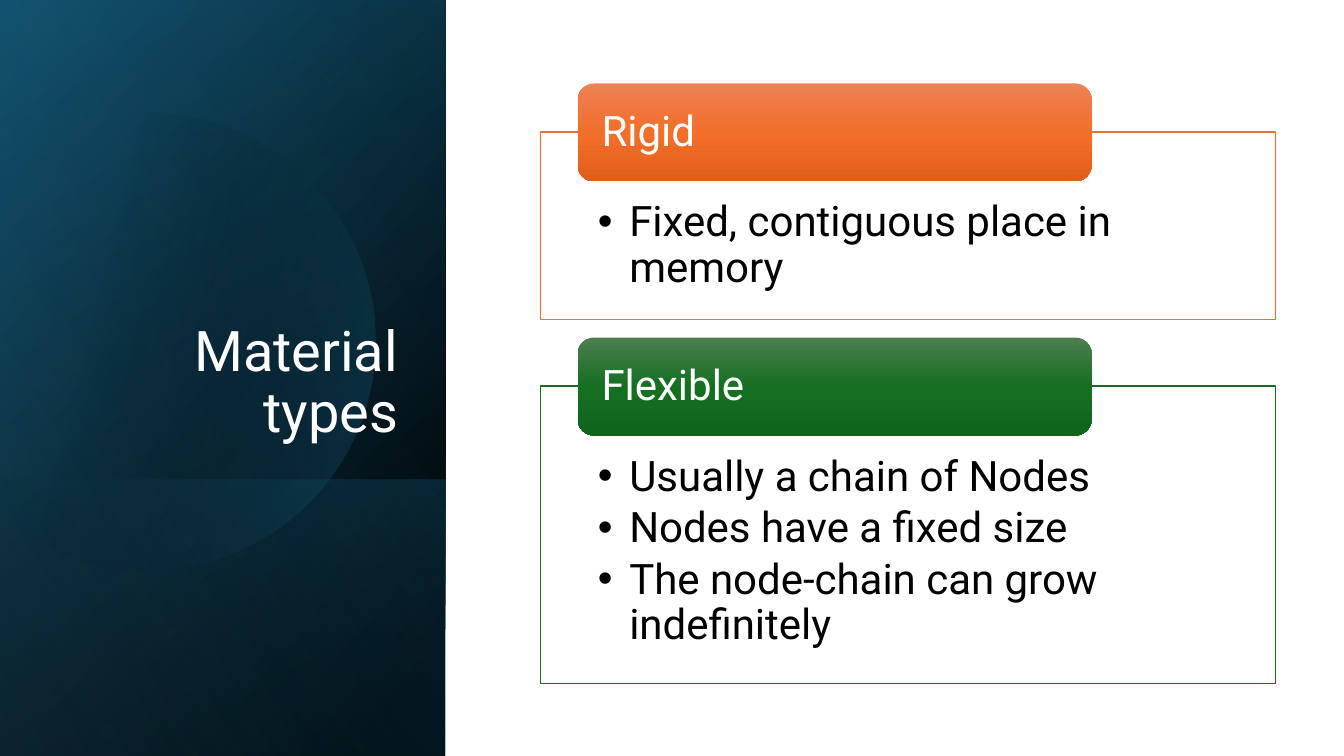
import math
from lxml import etree
from pptx import Presentation
from pptx.dml.color import RGBColor
from pptx.enum.shapes import MSO_SHAPE
from pptx.enum.text import MSO_ANCHOR, MSO_AUTO_SIZE, PP_ALIGN
from pptx.oxml.ns import qn
from pptx.util import Pt

RECT, ROUND = MSO_SHAPE.RECTANGLE, MSO_SHAPE.ROUNDED_RECTANGLE
TOP, MIDDLE, BOTTOM = MSO_ANCHOR.TOP, MSO_ANCHOR.MIDDLE, MSO_ANCHOR.BOTTOM
LEFT, RIGHT = PP_ALIGN.LEFT, PP_ALIGN.RIGHT
NO_FIT = MSO_AUTO_SIZE.NONE

WHITE = RGBColor(0xFF, 0xFF, 0xFF)
BLACK = RGBColor(0x00, 0x00, 0x00)
NAVY = RGBColor(0x10, 0x48, 0x62)
TEAL = RGBColor(0x15, 0x60, 0x82)
SKY = RGBColor(0x46, 0xB1, 0xE1)
ORANGE = RGBColor(0xE9, 0x71, 0x32)
GREEN = RGBColor(0x19, 0x6B, 0x24)
ORANGES = (RGBColor(0xED, 0x82, 0x57), RGBColor(0xF2, 0x6E, 0x29),
           RGBColor(0xE2, 0x5F, 0x1A))
GREENS = (RGBColor(0x4D, 0x7E, 0x50), RGBColor(0x15, 0x6F, 0x21),
          RGBColor(0x0F, 0x66, 0x1B))

# Content: heading, bullets, line colour, heading shades, box height
TITLE = "Material types"
CARDS = [
    ("Rigid", ["Fixed, contiguous place in memory"], ORANGE, ORANGES, 134),
    ("Flexible", ["Usually a chain of Nodes", "Nodes have a fixed size",
                  "The node-chain can grow indefinitely"],
     GREEN, GREENS, 212.4),
]

# Side panel layers: top, angle, stops of (position, colour, opacity)
WIDE, HIGH = 960, 540
PANEL = 318.24
LAYERS = [
    (0, 50, [(8, BLACK, 100), (100, NAVY, 100)]),
    (0, 30, [(0, BLACK, 0), (99, TEAL, 46)]),
    (342.7, 130, [(2, TEAL, 29), (100, BLACK, 30)]),
]
DISC = [(29, BLACK, 0), (100, TEAL, 43)]
GLOW = (0, 120, [(0, BLACK, 0), (99, SKY, 11)])
MID_X, MID_Y, RADIUS = 105, 243.5, 163.3

BOX_X, BOX_Y, BOX_W, GAP = 386, 94.3, 525, 47.5
TAB_X, TAB_W, TAB_H, RISE = 412.6, 367.2, 70, 34.7
INDENT = 22.5
TITLE_FONT = {"name": "Roboto", "size": Pt(40), "color": WHITE}
TAB_FONT = {"name": "Roboto", "size": Pt(30), "color": WHITE}
BODY_FONT = {"name": "Roboto", "size": Pt(30), "color": BLACK}


def shade(shape, angle, stops):
    """Fill a shape with a gradient that may be partly clear."""
    shape.shadow.inherit = False
    shape.line.fill.background()
    shape.fill.gradient()
    grad = shape._element.spPr.find(qn("a:gradFill"))
    row = grad.find(qn("a:gsLst"))
    for old in list(row):
        row.remove(old)
    for spot, color, alpha in stops:
        stop = etree.SubElement(row, qn("a:gs"), pos=str(spot * 1000))
        tint = etree.SubElement(stop, qn("a:srgbClr"), val=str(color))
        if alpha < 100:
            etree.SubElement(tint, qn("a:alpha"), val=str(alpha * 1000))
    grad.find(qn("a:lin")).set("ang", str(angle * 60000))


def layer(shapes, top, angle, stops):
    """Add a panel layer, turned a quarter and mirrored."""
    tall = HIGH - top
    shape = shapes.add_shape(RECT, Pt((PANEL - tall) / 2),
                             Pt(top + (tall - PANEL) / 2), Pt(tall), Pt(PANEL))
    shape.rotation = 90
    shape._element.spPr.find(qn("a:xfrm")).set("flipH", "1")
    shade(shape, angle, stops)


def write(shape, lines, look, align, anchor, inset, bullet=False):
    """Put lines of text into a shape."""
    frame = shape.text_frame
    frame.text = "\n".join(lines)
    left, top, right, bottom = inset
    form = {"word_wrap": True, "auto_size": NO_FIT, "vertical_anchor": anchor,
            "margin_left": Pt(left), "margin_top": Pt(top),
            "margin_right": Pt(right), "margin_bottom": Pt(bottom)}
    for key, value in form.items():
        setattr(frame, key, value)
    for para in frame.paragraphs:
        if bullet:
            para.level = 1
            props = para._p.get_or_add_pPr()
            props.set("marL", str(Pt(INDENT)))
            props.set("indent", str(-Pt(INDENT)))
            etree.SubElement(props, qn("a:buFont"), typeface="Arial")
            etree.SubElement(props, qn("a:buChar"), char="•")
        para.alignment = align
        para.line_spacing = 0.9
        para.space_before = Pt(0)
        para.space_after = Pt(4.5 if bullet else 0)
        for key, value in look.items():
            if key == "color":
                para.font.color.rgb = value
            else:
                setattr(para.font, key, value)


def disc(shapes):
    """Add the faint disc, cut off at the slide's left edge."""
    reach = math.acos(-MID_X / RADIUS)
    steps = 90
    turns = [reach * (2 * i / steps - 1) for i in range(steps + 1)]
    dots = [(Pt(max(0, MID_X + RADIUS * math.cos(t))),
             Pt(MID_Y + RADIUS * math.sin(t))) for t in turns]
    path = shapes.build_freeform(*dots[0], scale=1.0)
    path.add_line_segments(dots[1:], close=True)
    shade(path.convert_to_shape(), 14, DISC)


def main():
    deck = Presentation()
    deck.slide_width, deck.slide_height = Pt(WIDE), Pt(HIGH)
    slide = deck.slides.add_slide(deck.slide_layouts[5])
    shapes = slide.shapes

    # Side panel
    for item in LAYERS:
        layer(shapes, *item)
    disc(shapes)
    layer(shapes, *GLOW)

    # Title, in front of the panel
    title = shapes.title
    title.left, title.top = Pt(46), Pt(132.5)
    title.width, title.height = Pt(245.5), Pt(188.6)
    write(title, [TITLE], TITLE_FONT, RIGHT, BOTTOM, (7.2, 3.6, 7.2, 3.6))
    shapes._spTree.append(title._element)

    # Cards: an outlined box with a heading tab over its top edge
    top = BOX_Y
    for head, points, color, shades, tall in CARDS:
        box = shapes.add_shape(RECT, Pt(BOX_X), Pt(top), Pt(BOX_W), Pt(tall))
        box.shadow.inherit = False
        box.fill.solid()
        box.fill.fore_color.rgb = WHITE
        box.line.color.rgb = color
        box.line.width = Pt(1)
        write(box, points, BODY_FONT, LEFT, TOP, (41, 49, 41, 16.5), True)

        tab = shapes.add_shape(ROUND, Pt(TAB_X), Pt(top - RISE),
                               Pt(TAB_W), Pt(TAB_H))
        shade(tab, 90, [(50 * i, tone, 100) for i, tone in enumerate(shades)])
        write(tab, [head], TAB_FONT, LEFT, MIDDLE, (13.7, 0, 13.7, 0))
        top += tall + GAP

    deck.save("out.pptx")


if __name__ == "__main__":
    main()
